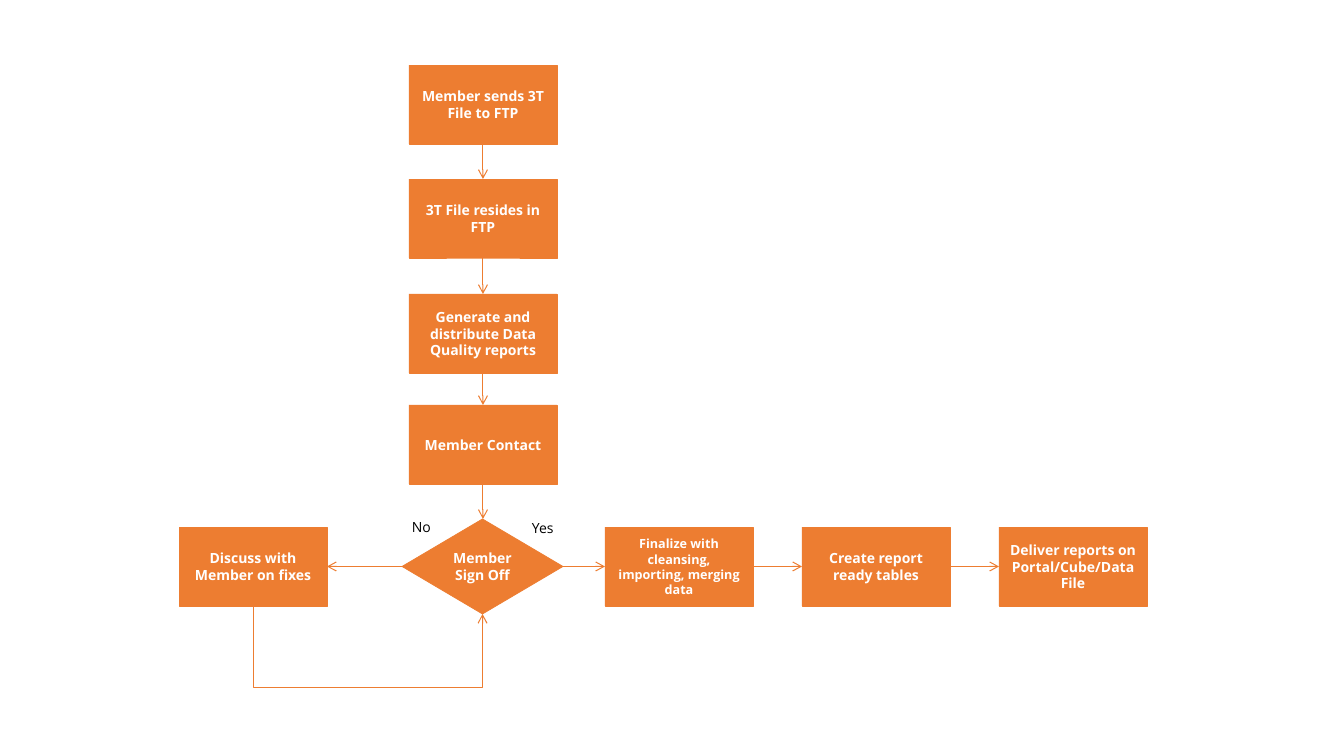
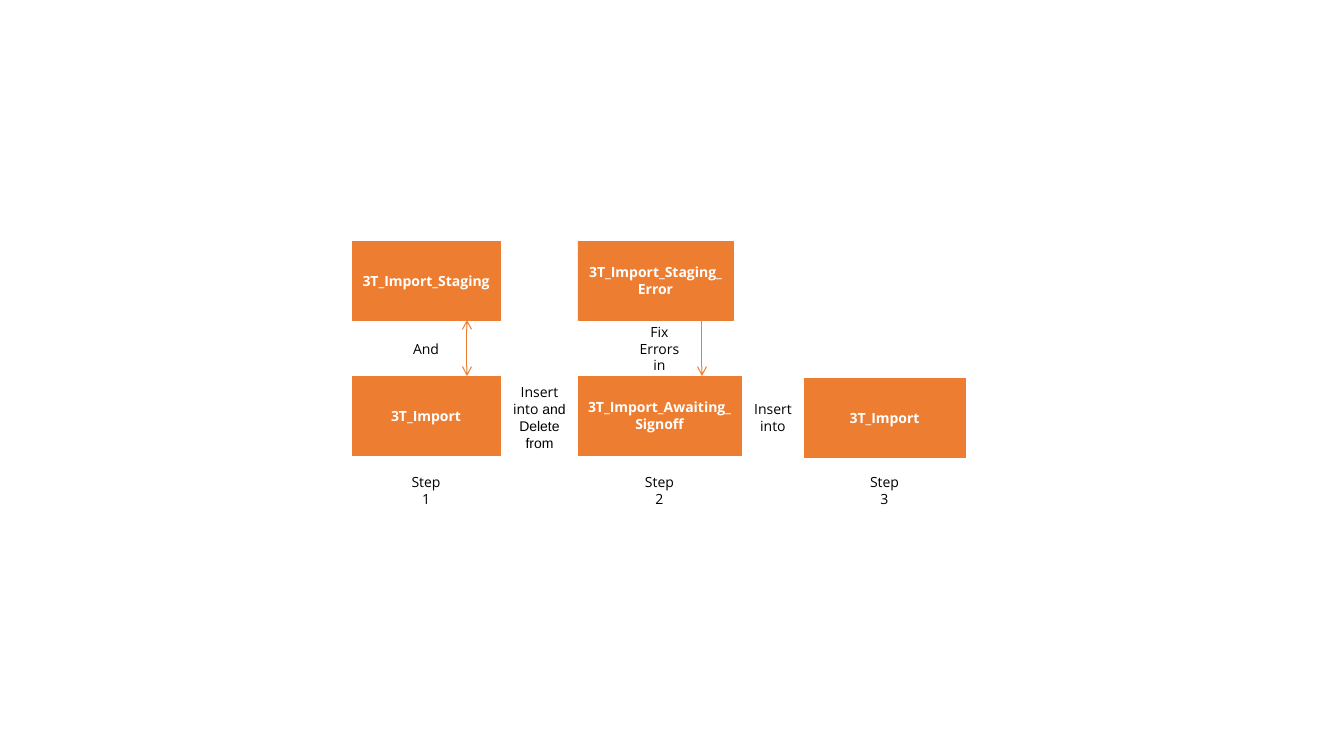
import pptx
import pptx.util
import pptx.dml.color
import pptx.enum.shapes
import pptx.enum.text
import pptx.oxml.ns
import pptx.oxml.xmlchemy
from collections import namedtuple

SCALE = 914400 / 100.8
ORANGE, WHITE, BLACK = "ED7D31", "FFFFFF", "000000"
FONT = "Open Sans"
STEP_WIDTH, STEP_HEIGHT = 148, 79

SHAPE = pptx.enum.shapes.MSO_SHAPE
CONNECTOR = pptx.enum.shapes.MSO_CONNECTOR
ALIGN = pptx.enum.text.PP_ALIGN
ANCHOR = pptx.enum.text.MSO_ANCHOR


class Box(namedtuple("Box", "left top width height")):
    @property
    def right(self):
        return self.left + self.width

    @property
    def bottom(self):
        return self.top + self.height

    @property
    def center(self):
        return self.left + self.width / 2

    @property
    def middle(self):
        return self.top + self.height / 2


def emu(pixels):
    return pptx.util.Emu(round(pixels * SCALE))


def color(value):
    return pptx.dml.color.RGBColor.from_string(value)


def add_element(parent, tag, **attributes):
    element = pptx.oxml.xmlchemy.OxmlElement(tag)
    for name, value in attributes.items():
        element.set(name, value)
    parent.append(element)


def write(shape, text, size=10, bold=False, ink=BLACK, align=ALIGN.CENTER,
          anchor=ANCHOR.MIDDLE, tail="", tail_font="Arial"):
    frame = shape.text_frame
    frame.word_wrap = True
    frame.vertical_anchor = anchor
    para = frame.paragraphs[0]
    para.alignment = align
    for words, font in ((text, FONT), (tail, tail_font)):
        if words:
            span = para.add_run()
            span.text = words
            span.font.name = font
            span.font.size = pptx.util.Pt(size)
            span.font.bold = bold
            span.font.color.rgb = color(ink)


def add_label(page, box, text, **style):
    write(page.shapes.add_textbox(*map(emu, box)), text, **style)


def add_block(page, box, text="", kind=SHAPE.RECTANGLE, **style):
    shape = page.shapes.add_shape(kind, *map(emu, box))
    shape.shadow.inherit = False
    shape.fill.solid()
    shape.fill.fore_color.rgb = color(ORANGE)
    shape.line.color.rgb = color(ORANGE)
    shape.line.width = pptx.util.Pt(0.5)
    if text:
        write(shape, text, bold=True, ink=WHITE, **style)


def add_arrow(page, start, end, kind=CONNECTOR.STRAIGHT, ends=("tailEnd",)):
    arrow = page.shapes.add_connector(kind, *map(emu, (*start, *end)))
    arrow.line.color.rgb = color(ORANGE)
    arrow.line.width = pptx.util.Pt(0.75)
    properties = arrow._element.spPr
    outline = properties.find(pptx.oxml.ns.qn("a:ln"))
    for name in ends:
        add_element(outline, "a:" + name, type="arrow")
    add_element(properties, "a:effectLst")
    return arrow


def add_return_arrow(page, start, end, drop):
    across, down = end[0] - start[0], end[1] - start[1]
    center, middle = (start[0] + end[0]) / 2, (start[1] + end[1]) / 2
    arrow = add_arrow(page, (center + down / 2, middle - across / 2),
                      (center - down / 2, middle + across / 2), CONNECTOR.ELBOW)
    properties = arrow._element.spPr
    properties.find(pptx.oxml.ns.qn("a:xfrm")).set("rot", str(270 * 60000))
    geometry = properties.find(pptx.oxml.ns.qn("a:prstGeom"))
    add_element(geometry.get_or_add_avLst(), "a:gd", name="adj1",
                fmla=f"val {round(drop / down * 100000)}")


def intake_column(page, area):
    steps = ((0, "Member sends 3T File to FTP"), (114, "3T File resides in FTP"),
             (229, "Generate and distribute Data Quality reports"),
             (340, "Member Contact"))
    boxes = [Box(area.left, area.top + offset, area.width, STEP_HEIGHT)
             for offset, text in steps]
    for box, (offset, text) in zip(boxes, steps):
        add_block(page, box, text)
    for box, target in zip(boxes, [box.top for box in boxes[1:]] + [area.bottom]):
        add_arrow(page, (box.center, box.bottom), (box.center, target))


def signoff_row(page, area):
    decision = Box(area.left + 223, area.top, 161, area.height)
    step_top = decision.middle - STEP_HEIGHT / 2
    fixes = Box(area.left, step_top, STEP_WIDTH, STEP_HEIGHT)
    add_block(page, decision, kind=SHAPE.FLOWCHART_DECISION)
    add_label(page, Box(decision.center - 50, decision.middle - 29, 100, 58),
              "Member Sign Off", bold=True, ink=WHITE)
    add_block(page, fixes, "Discuss with Member on fixes")
    add_arrow(page, (decision.left, decision.middle), (fixes.right, fixes.middle))
    add_return_arrow(page, (fixes.center, fixes.bottom),
                     (decision.center, decision.bottom), drop=81)
    for answer, left, top, width in (("No", 0, -5, 44), ("Yes", 120, -4, 52)):
        add_label(page, Box(decision.left + left, decision.top + top, width, 31),
                  answer, align=ALIGN.LEFT, anchor=ANCHOR.TOP)
    previous = decision
    steps = (("Finalize with cleansing, importing, merging data", 9),
             ("Create report ready tables", 10),
             ("Deliver reports on Portal/Cube/Data File", 10))
    for index, (text, size) in enumerate(steps):
        box = Box(area.left + 426 + 197 * index, step_top, STEP_WIDTH, STEP_HEIGHT)
        add_block(page, box, text, size=size)
        add_arrow(page, (previous.right, previous.middle), (box.left, box.middle))
        previous = box


def staging_tables(page, area):
    lower = area.top + 135
    staging = Box(area.left, area.top, STEP_WIDTH, STEP_HEIGHT)
    errors = Box(area.left + 226, area.top, 155, STEP_HEIGHT)
    source = Box(area.left, lower, STEP_WIDTH, STEP_HEIGHT)
    awaiting = Box(errors.left, lower, 163, STEP_HEIGHT)
    final = Box(area.left + 452, lower + 2, 161, STEP_HEIGHT)
    for box, text in ((staging, "3T_Import_Staging"),
                      (errors, "3T_Import_Staging_Error"), (source, "3T_Import"),
                      (awaiting, "3T_Import_Awaiting_Signoff"), (final, "3T_Import")):
        add_block(page, box, text)
    for box, text in ((source, "And"), (awaiting, "Fix Errors in")):
        add_label(page, Box(box.center - 30, staging.bottom + 10, 60, 37), text)
    for index, box in enumerate((source, awaiting, final), 1):
        add_label(page, Box(box.center - 30, area.bottom - 37, 60, 37), f"Step {index}")
    for before, after, tail in ((source, awaiting, " and Delete from"),
                                (awaiting, final, "")):
        gap_center = (before.right + after.left) / 2
        add_label(page, Box(gap_center - 38, lower + 2, 77, STEP_HEIGHT),
                  "Insert into", tail=tail)
    for upper, offset, ends in ((staging, 115, ("headEnd", "tailEnd")),
                                (errors, 124, ("tailEnd",))):
        left = upper.left + offset
        add_arrow(page, (left, upper.bottom), (left, lower), ends=ends)


deck = pptx.Presentation()
deck.slide_width, deck.slide_height = emu(1344), emu(756)
blank = deck.slide_layouts[6]

page = deck.slides.add_slide(blank)
intake_column(page, Box(409, 65, STEP_WIDTH, 454))
signoff_row(page, Box(179, 519, 968, 95))

page = deck.slides.add_slide(blank)
staging_tables(page, Box(352, 241, 613, 268))

deck.save("out.pptx")
